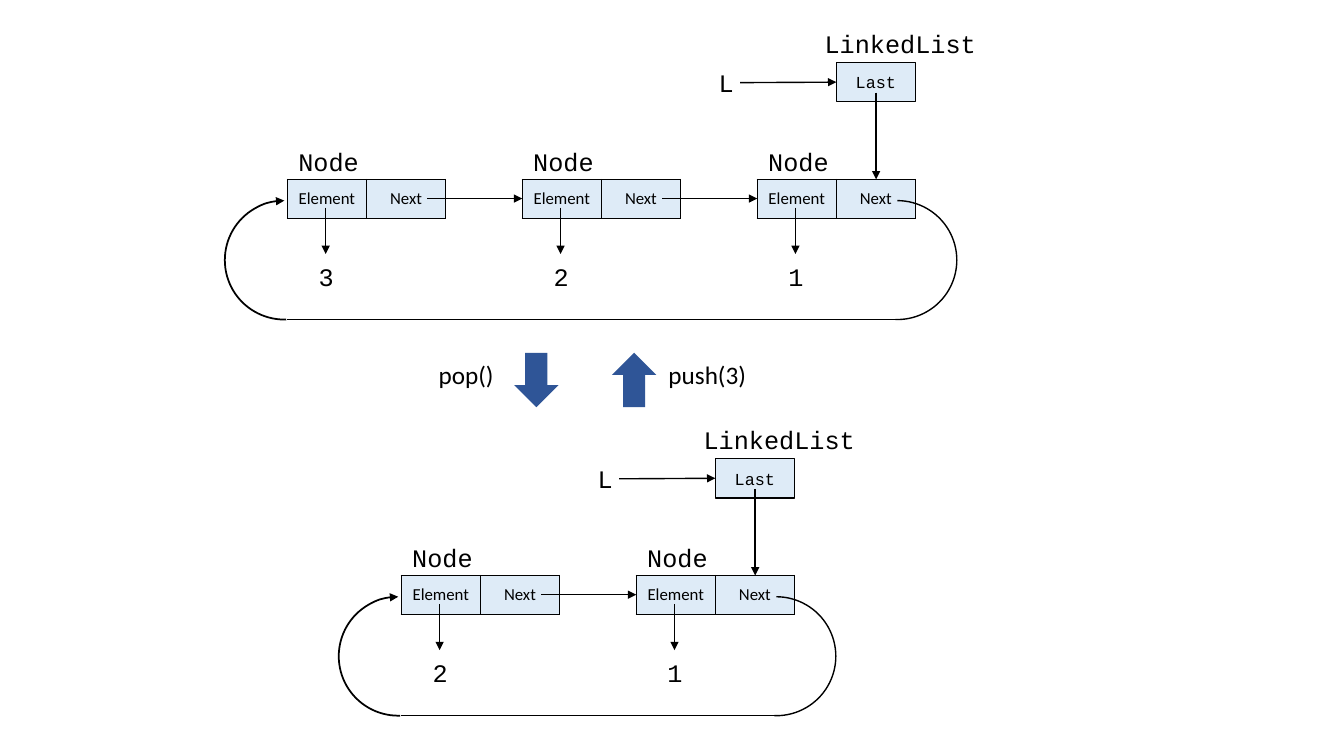
"""Draw a circular linked list before and after pop() and push(3)."""
from lxml.etree import SubElement
from pptx import Presentation
from pptx.dml.color import RGBColor
from pptx.enum.shapes import MSO_CONNECTOR as CONN, MSO_SHAPE as SHAPE
from pptx.enum.text import MSO_ANCHOR as ANCHOR, MSO_AUTO_SIZE as AUTO, PP_ALIGN as ALIGN
from pptx.oxml.ns import qn
from pptx.util import Inches, Pt

BLACK = RGBColor(0x00, 0x00, 0x00)
PALE_BLUE = RGBColor(0xDE, 0xEB, 0xF7)
DARK_BLUE = RGBColor(0x2F, 0x55, 0x97)
MONO, SANS = "Courier New", "Calibri"
NODE_W, NODE_H, PITCH = 1.57, 0.39, 2.33
CELL_W = NODE_W / 2
ARC = 1.18


def write(tf, text, size, font, align=ALIGN.CENTER):
    p = tf.paragraphs[0]
    p.alignment = align
    r = p.add_run()
    r.text = text
    r.font.size = Pt(size)
    r.font.name = font
    r.font.color.rgb = BLACK


def draw_line(sp, width=1, arrow=None):
    sp.line.color.rgb = BLACK
    sp.line.width = Pt(width)
    spPr = sp._element.spPr
    if arrow:
        SubElement(spPr.find(qn("a:ln")), qn(f"a:{arrow}"), type="triangle")
    SubElement(spPr, qn("a:effectLst"))


prs = Presentation()
prs.slide_width, prs.slide_height = Inches(13.33), Inches(7.5)
shapes = prs.slides.add_slide(prs.slide_layouts[6]).shapes

for last_x, top, values in ((7.51, 1.78, "321"), (6.31, 5.71, "21")):
    first_x = last_x - PITCH * (len(values) - 1)
    last_box = shapes.add_shape(SHAPE.RECTANGLE, Inches(last_x + CELL_W), Inches(top - 1.16),
                                Inches(CELL_W), Inches(NODE_H))
    draw_line(last_box)
    last_box.fill.solid()
    last_box.fill.fore_color.rgb = PALE_BLUE
    last_box.text_frame.vertical_anchor = ANCHOR.MIDDLE
    write(last_box.text_frame, "Last", 12, MONO)

    labels = [("LinkedList", last_x + 0.57, top - 1.55, 1.71),
              ("L", last_x - 0.48, top - 1.16, 0.35)]
    arrows = [(last_x + 1.18, top - 0.86, last_x + 1.18, top)]

    for i, value in enumerate(values):
        x = first_x + i * PITCH
        table = shapes.add_table(1, 2, Inches(x), Inches(top), Inches(NODE_W), Inches(NODE_H)).table
        table.first_row = table.horz_banding = False
        for cell, field in zip(table.iter_cells(), ("Element", "Next")):
            cell.vertical_anchor = ANCHOR.MIDDLE
            cell.margin_left = cell.margin_right = Inches(0.05)
            write(cell.text_frame, field, 12, SANS)
            tcPr = cell._tc.get_or_add_tcPr()
            for side in ("lnL", "lnR", "lnT", "lnB"):
                border = SubElement(tcPr, qn(f"a:{side}"), w=str(Pt(1)))
                SubElement(SubElement(border, qn("a:solidFill")), qn("a:srgbClr"), val=str(BLACK))
            cell.fill.solid()
            cell.fill.fore_color.rgb = PALE_BLUE
        labels += [("Node", x + 0.01, top - 0.38, 0.81), (value, x - 0.01, top + 0.76, 0.79)]
        arrows.append((x + 0.38, top + 0.28, x + 0.38, top + 0.74))
        if x < last_x - 0.1:
            arrows.append((x + 1.39, top + 0.19, x + PITCH, top + 0.19))

    for ends in arrows:
        draw_line(shapes.add_connector(CONN.STRAIGHT, *map(Inches, ends)), arrow="tailEnd")
    pointer = shapes.add_connector(CONN.STRAIGHT, Inches(last_x - 0.17), Inches(top - 0.96),
                                   Inches(last_x + 0.78), Inches(top - 0.96))
    pointer.end_connect(last_box, 1)
    draw_line(pointer, arrow="tailEnd")

    for text, x, y, width in labels:
        tf = shapes.add_textbox(Inches(x), Inches(y), Inches(width), Inches(0.4)).text_frame
        tf.word_wrap = text.isdigit()
        tf.auto_size = AUTO.SHAPE_TO_FIT_TEXT
        write(tf, text, 18, MONO, ALIGN.CENTER if text.isdigit() else ALIGN.LEFT)

    for x, width, arrow in ((last_x + 0.8, 1, None), (first_x - 0.62, 1.25, "headEnd")):
        arc = shapes.add_shape(SHAPE.ARC, Inches(x), Inches(top + 0.21), Inches(ARC), Inches(ARC))
        arc.adjustments[0], arc.adjustments[1] = 162, 55.116
        arc.fill.background()
        draw_line(arc, width, arrow)
        if arrow:
            arc._element.spPr.xfrm.set("flipH", "1")
    draw_line(shapes.add_connector(CONN.STRAIGHT, Inches(first_x), Inches(top + 1.39),
                                   Inches(last_x + 1.39), Inches(top + 1.39)))

for x, flip in ((5.1, "0"), (6.07, "1")):
    sp = shapes.add_shape(SHAPE.DOWN_ARROW, Inches(x), Inches(3.5), Inches(0.44), Inches(0.54))
    sp.shadow.inherit = False
    sp.fill.solid()
    sp.fill.fore_color.rgb = DARK_BLUE
    sp.line.fill.background()
    sp._element.spPr.xfrm.set("flipV", flip)

tf = shapes.add_textbox(Inches(4.2), Inches(3.52), Inches(3.38), Inches(0.4)).text_frame
tf.word_wrap = True
tf.auto_size = AUTO.SHAPE_TO_FIT_TEXT
tf.margin_left = Inches(0.15)
tabs = SubElement(tf.paragraphs[0]._p.get_or_add_pPr(), qn("a:tabLst"))
SubElement(tabs, qn("a:tab"), pos=str(Inches(2.28)), algn="l")
write(tf, "pop()\tpush(3)", 18, SANS, ALIGN.LEFT)

prs.save("out.pptx")
